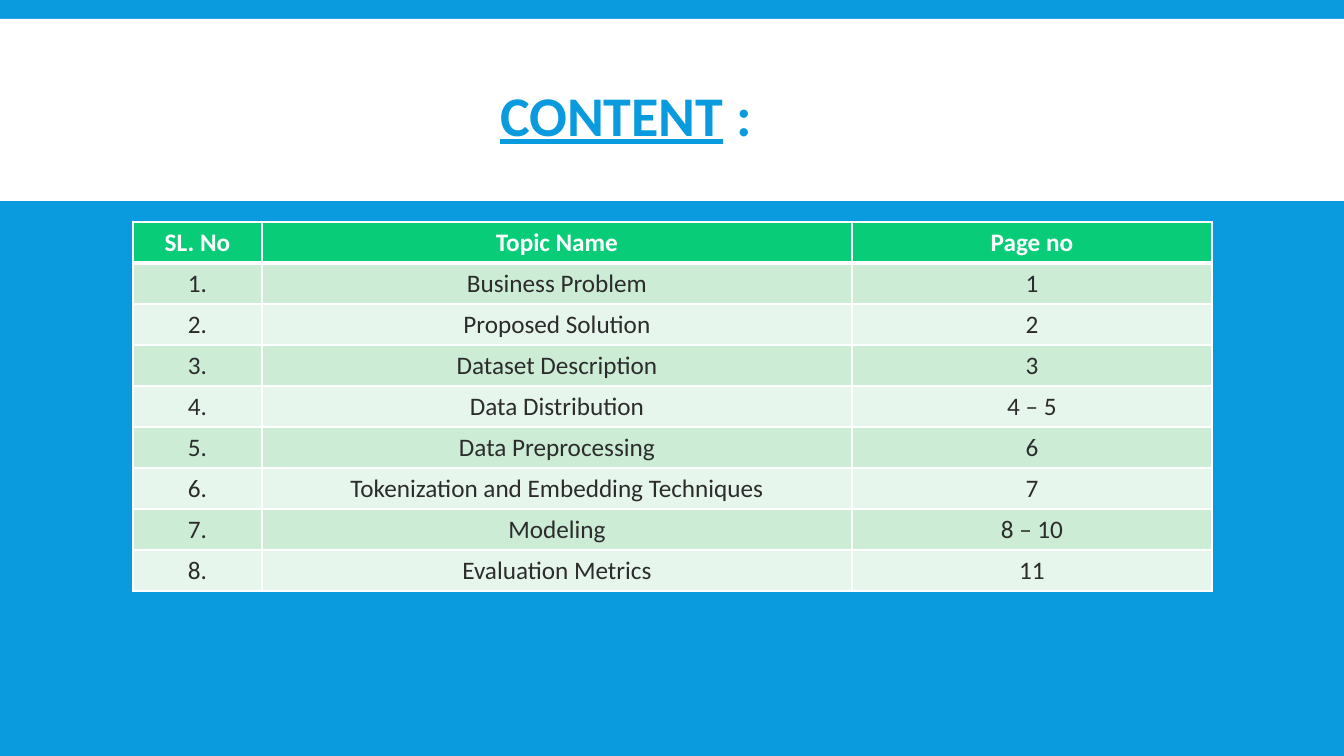
import lxml.etree
import pptx
import pptx.dml.color
import pptx.enum.shapes
import pptx.enum.text
import pptx.oxml.ns
import pptx.util

BLUE = pptx.dml.color.RGBColor(0x09, 0x9B, 0xDD)
WHITE = pptx.dml.color.RGBColor(0xFF, 0xFF, 0xFF)
GREEN = pptx.dml.color.RGBColor(0x08, 0xCC, 0x78)
MINT = pptx.dml.color.RGBColor(0xCC, 0xEC, 0xD6)
PALE_MINT = pptx.dml.color.RGBColor(0xE7, 0xF6, 0xEC)
CHARCOAL = pptx.dml.color.RGBColor(0x2C, 0x2C, 0x2C)

SLIDE_WIDTH, SLIDE_HEIGHT = 1344, 756
EMU_PER_PX = 12192000 / SLIDE_WIDTH
COLUMN_WIDTHS = [129, 590, 360]
ROW_HEIGHT = 41
HEADINGS = ["SL. No", "Topic Name", "Page no"]
TOPICS = [
    ("Business Problem", "1"),
    ("Proposed Solution", "2"),
    ("Dataset Description", "3"),
    ("Data Distribution", "4 – 5"),
    ("Data Preprocessing", "6"),
    ("Tokenization and Embedding Techniques", "7"),
    ("Modeling", "8 – 10"),
    ("Evaluation Metrics", "11"),
]


def px(length):
    return pptx.util.Emu(round(length * EMU_PER_PX))


class ContentSlide:
    font_name = "Calibri"

    def __init__(self, deck):
        self.slide = deck.slides.add_slide(deck.slide_layouts[5])
        fill = self.slide.background.fill
        fill.solid()
        fill.fore_color.rgb = BLUE

    def add_span(self, para, text, size, color, bold=False, underline=False):
        span = para.add_run()
        span.text = text
        font = span.font
        font.name = self.font_name
        font.size = pptx.util.Pt(size)
        font.color.rgb = color
        font.bold = bold
        font.underline = underline

    def title(self, left, top, width, height, spans):
        box = self.slide.shapes.title
        box.left, box.top, box.width, box.height = map(px, (left, top, width, height))
        box.text_frame.vertical_anchor = pptx.enum.text.MSO_ANCHOR.MIDDLE
        para = box.text_frame.paragraphs[0]
        para.alignment = pptx.enum.text.PP_ALIGN.LEFT
        para.line_spacing = 0.85
        for text, underline in spans:
            self.add_span(para, text, 40, BLUE, True, underline)

    def band(self, left, top, width, height):
        shape = self.slide.shapes.add_shape(
            pptx.enum.shapes.MSO_SHAPE.RECTANGLE, *map(px, (left, top, width, height)))
        shape.shadow.inherit = False
        shape.fill.solid()
        shape.fill.fore_color.rgb = WHITE
        shape.line.fill.background()
        self.slide.shapes.title.element.addprevious(shape.element)

    def cell_borders(self, cell, bottom_points):
        properties = cell._tc.get_or_add_tcPr()
        borders = {"lnL": 1, "lnR": 1, "lnT": 1, "lnB": bottom_points}
        for index, (side, points) in enumerate(borders.items()):
            line = lxml.etree.Element(
                pptx.oxml.ns.qn("a:" + side), w=str(pptx.util.Pt(points)))
            fill = lxml.etree.SubElement(line, pptx.oxml.ns.qn("a:solidFill"))
            lxml.etree.SubElement(fill, pptx.oxml.ns.qn("a:srgbClr"), val=str(WHITE))
            properties.insert(index, line)

    def cell(self, cell, text, fill_color, text_color, is_heading):
        cell.fill.solid()
        cell.fill.fore_color.rgb = fill_color
        para = cell.text_frame.paragraphs[0]
        para.alignment = pptx.enum.text.PP_ALIGN.CENTER
        self.add_span(para, text, 18, text_color, is_heading)
        self.cell_borders(cell, 3 if is_heading else 1)

    def table(self, left, top, rows):
        frame = self.slide.shapes.add_table(
            len(rows), len(COLUMN_WIDTHS), px(left), px(top),
            px(sum(COLUMN_WIDTHS)), px(ROW_HEIGHT * len(rows)))
        table = frame.table
        for column, width in zip(table.columns, COLUMN_WIDTHS):
            column.width = px(width)
        for row_index, values in enumerate(rows):
            table.rows[row_index].height = px(ROW_HEIGHT)
            is_heading = row_index == 0
            stripe = MINT if row_index % 2 else PALE_MINT
            fill_color = GREEN if is_heading else stripe
            text_color = WHITE if is_heading else CHARCOAL
            for column_index, text in enumerate(values):
                self.cell(table.cell(row_index, column_index), text,
                          fill_color, text_color, is_heading)


def main():
    deck = pptx.Presentation()
    deck.slide_width, deck.slide_height = px(SLIDE_WIDTH), px(SLIDE_HEIGHT)
    page = ContentSlide(deck)
    page.band(0, 19, SLIDE_WIDTH, 182)
    page.title(490, 36, 1079, 166, [("CONTENT", True), (" :", False)])
    topic_rows = [(f"{number}.", *topic) for number, topic in enumerate(TOPICS, 1)]
    page.table(133, 222, [HEADINGS, *topic_rows])
    deck.save("out.pptx")


if __name__ == "__main__":
    main()
